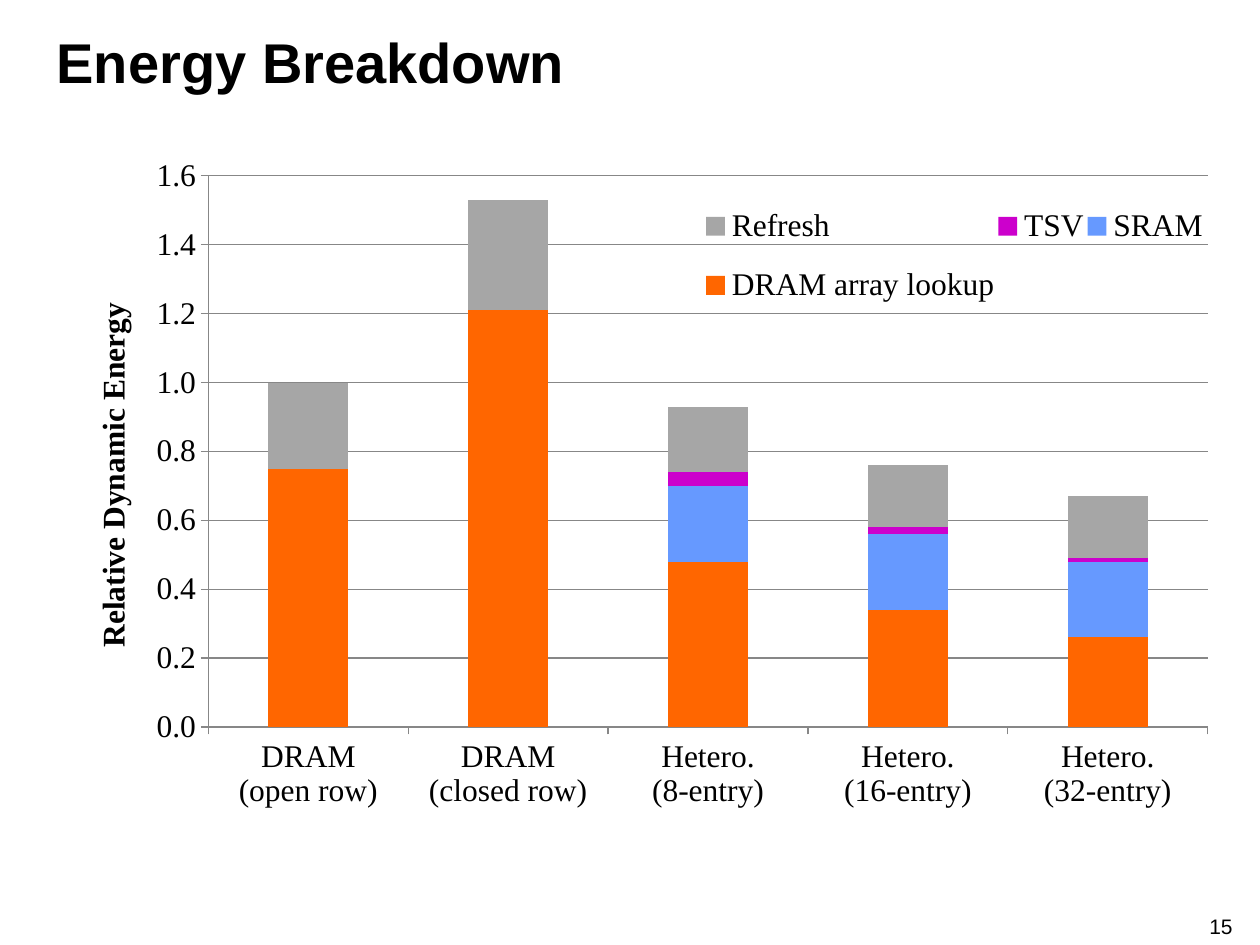
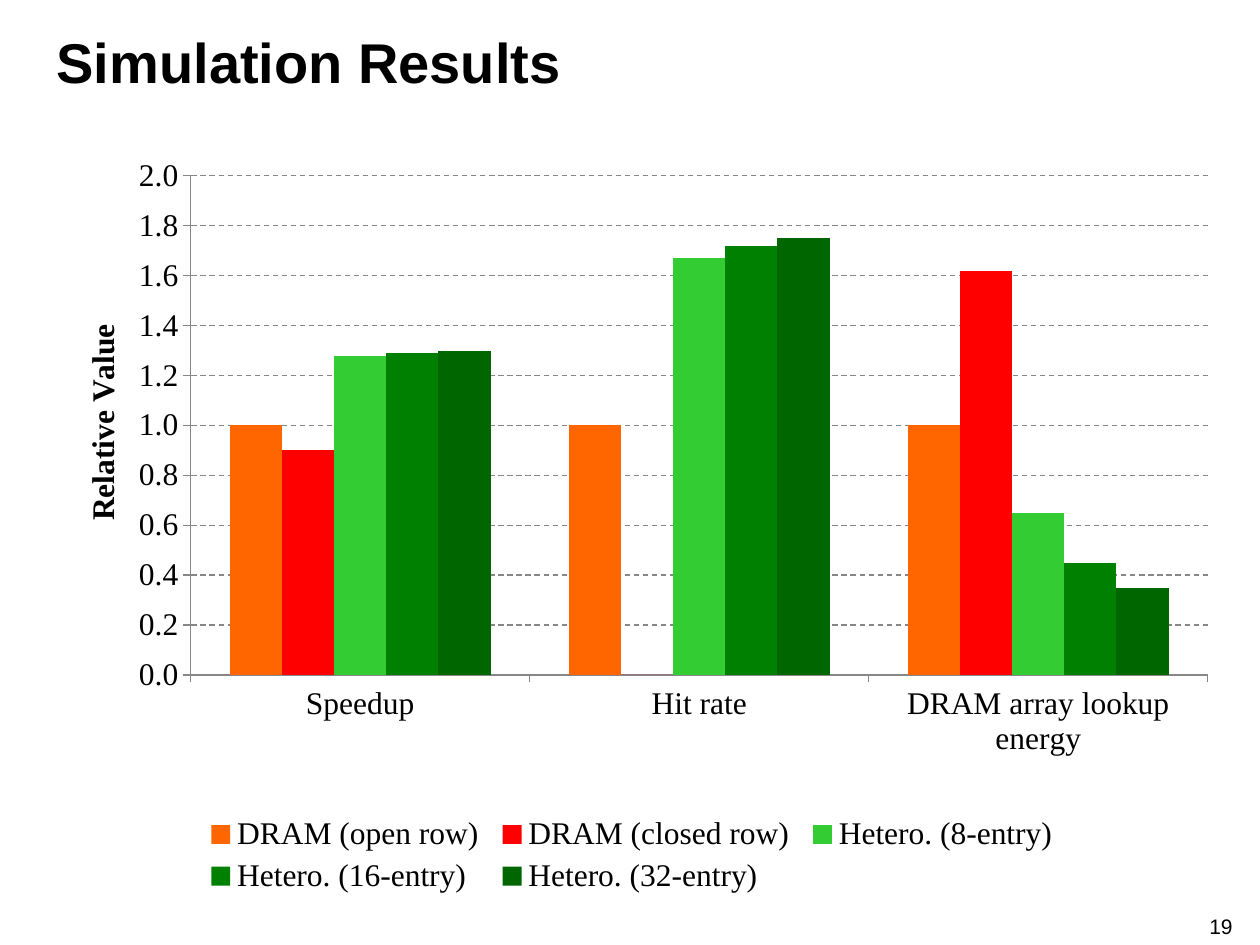
from lxml import etree
from pptx import Presentation
from pptx.chart.data import CategoryChartData
from pptx.dml.color import RGBColor
from pptx.enum.chart import XL_CHART_TYPE as Chart, XL_LEGEND_POSITION as Legend
from pptx.enum.dml import MSO_LINE as Dash
from pptx.enum.text import MSO_ANCHOR as Anchor, PP_ALIGN as Align
from pptx.oxml.ns import qn
from pptx.util import Inches, Pt

COLORS = {
    "ink": "000000", "line": "878787",
    "orange": "FF6600", "blue": "6699FF", "magenta": "CC00CC", "gray": "A6A6A6",
    "red": "FF0000", "light green": "33CC33", "green": "008000", "dark green": "006600",
}
# Left, top, width and height as shares of the slide
TITLE_AREA = (0.035, 0.01, 0.931, 0.11)
CHART_AREA = (0.036, 0.155, 0.931, 0.798)
NUMBER_AREA = (0.944, 0.967, 0.05, 0.027)

TITLE_FONT = {"name": "Arial", "size": Pt(32), "bold": True}
NUMBER_FONT = {"name": "Arial", "size": Pt(12), "bold": False}
CHART_FONT = {"name": "Times New Roman", "size": Pt(18), "bold": False}
AXIS_TITLE_FONT = CHART_FONT | {"bold": True}


def color(name):
    return RGBColor.from_string(COLORS[name])


def set_values(target, values):
    for name, value in values.items():
        setattr(target, name, value)


def set_font(font, values):
    set_values(font, values)
    font.color.rgb = color("ink")


def set_layout(element, index, shares, inner=False):
    """Place a chart part by shares of the chart: x, y and optionally width, height."""
    for old_layout in element.findall(qn("c:layout")):
        element.remove(old_layout)
    layout = etree.Element(qn("c:layout"))
    manual = etree.SubElement(layout, qn("c:manualLayout"))
    settings = [("layoutTarget", "inner")] if inner else []
    settings += [("xMode", "edge"), ("yMode", "edge"), *zip("xywh", shares)]
    for tag, value in settings:
        etree.SubElement(manual, qn(f"c:{tag}"), val=str(value))
    element.insert(index, layout)


class Deck:
    """Holds the presentation, its shared style and the current slide."""

    def __init__(self):
        self.presentation = Presentation()
        set_values(self.presentation, {"slide_width": Inches(10), "slide_height": Inches(7.5)})
        self.slide = None

    def area(self, shares):
        width, height = self.presentation.slide_width, self.presentation.slide_height
        return [round(share * size) for share, size in zip(shares, (width, height) * 2)]

    def add_slide(self, title, number):
        self.slide = self.presentation.slides.add_slide(self.presentation.slide_layouts[5])
        self.add_title(title)
        self.add_number(number)

    def add_title(self, text):
        shape = self.slide.shapes.title
        set_values(shape, dict(zip(("left", "top", "width", "height"), self.area(TITLE_AREA))))
        shape.text_frame.vertical_anchor = Anchor.MIDDLE
        paragraph = shape.text_frame.paragraphs[0]
        paragraph.text = text
        paragraph.alignment = Align.LEFT
        set_font(paragraph.font, TITLE_FONT)

    def add_number(self, number):
        frame = self.slide.shapes.add_textbox(*self.area(NUMBER_AREA)).text_frame
        set_values(frame, {f"margin_{side}": 0 for side in ("left", "top", "right", "bottom")})
        frame.word_wrap = True
        paragraph = frame.paragraphs[0]
        paragraph.text = str(number)
        paragraph.alignment = Align.CENTER
        set_font(paragraph.font, NUMBER_FONT)

    def add_columns(self, kind, categories, series, plot_layout, overlap):
        """Add a column chart; series maps a name to its colour and values."""
        data = CategoryChartData(number_format="0.00")
        data.categories = categories
        for name, (_, values) in series.items():
            data.add_series(name, values)
        chart = self.slide.shapes.add_chart(kind, *self.area(CHART_AREA), data).chart
        chart.has_title = False
        set_font(chart.font, CHART_FONT)
        plot = chart.plots[0]
        set_values(plot, {"gap_width": 150, "overlap": overlap, "vary_by_categories": False})
        for column, (fill_name, _) in zip(plot.series, series.values()):
            column.format.fill.solid()
            column.format.fill.fore_color.rgb = color(fill_name)
            column.invert_if_negative = False
        chart_space = chart._chartSpace
        set_layout(chart_space.find(".//" + qn("c:plotArea")), 0, plot_layout, inner=True)
        return chart

    def style_axes(self, chart, title, title_layout, maximum, dash):
        axis = chart.value_axis
        set_values(axis, {"minimum_scale": 0, "maximum_scale": maximum, "major_unit": 0.2,
                          "has_major_gridlines": True})
        set_values(axis.tick_labels, {"number_format": "0.0", "number_format_is_linked": False})
        gridlines = axis.major_gridlines.format.line
        for line in (axis.format.line, chart.category_axis.format.line, gridlines):
            line.color.rgb = color("line")
            line.width = Pt(0.75)
        gridlines.dash_style = dash
        paragraph = axis.axis_title.text_frame.paragraphs[0]
        run = paragraph.add_run()
        run.text = title
        set_font(run.font, AXIS_TITLE_FONT)
        set_layout(axis.axis_title._element, 1, title_layout)

    def add_legend(self, chart, position, layout):
        chart.has_legend = True
        set_values(chart.legend, {"position": position, "include_in_layout": False})
        set_font(chart.legend.font, CHART_FONT)
        set_layout(chart.legend._element, 1, layout)


def add_energy_breakdown(deck):
    deck.add_slide("Energy Breakdown", 15)
    categories = ["DRAM\n(open row)", "DRAM\n(closed row)"]
    categories += [f"Hetero.\n({entries}-entry)" for entries in (8, 16, 32)]
    energy = {
        "DRAM array lookup": ("orange", (0.75, 1.21, 0.48, 0.34, 0.26)),
        "SRAM": ("blue", (0, 0, 0.22, 0.22, 0.22)),
        "TSV": ("magenta", (0, 0, 0.04, 0.02, 0.01)),
        "Refresh": ("gray", (0.25, 0.32, 0.19, 0.18, 0.18)),
    }
    chart = deck.add_columns(Chart.COLUMN_STACKED, categories, energy,
                             (0.139, 0.039, 0.852, 0.731), overlap=100)
    deck.style_axes(chart, "Relative Dynamic Energy", (0.036, 0.2), 1.6, Dash.SOLID)
    deck.add_legend(chart, Legend.RIGHT, (0.56, 0.05, 0.43, 0.19))


def add_simulation_results(deck):
    deck.add_slide("Simulation Results", 19)
    categories = ["Speedup", "Hit rate", "DRAM array lookup energy"]
    results = {
        "DRAM (open row)": ("orange", (1, 1, 1)),
        "DRAM (closed row)": ("red", (0.9, 0, 1.62)),
        "Hetero. (8-entry)": ("light green", (1.28, 1.67, 0.65)),
        "Hetero. (16-entry)": ("green", (1.29, 1.72, 0.45)),
        "Hetero. (32-entry)": ("dark green", (1.3, 1.75, 0.35)),
    }
    chart = deck.add_columns(Chart.COLUMN_CLUSTERED, categories, results,
                             (0.124, 0.039, 0.867, 0.662), overlap=0)
    deck.style_axes(chart, "Relative Value", (0.027, 0.228), 2, Dash.DASH)
    deck.add_legend(chart, Legend.BOTTOM, (0.13, 0.88, 0.74, 0.12))


def main():
    deck = Deck()
    add_energy_breakdown(deck)
    add_simulation_results(deck)
    deck.presentation.save("out.pptx")


if __name__ == "__main__":
    main()
